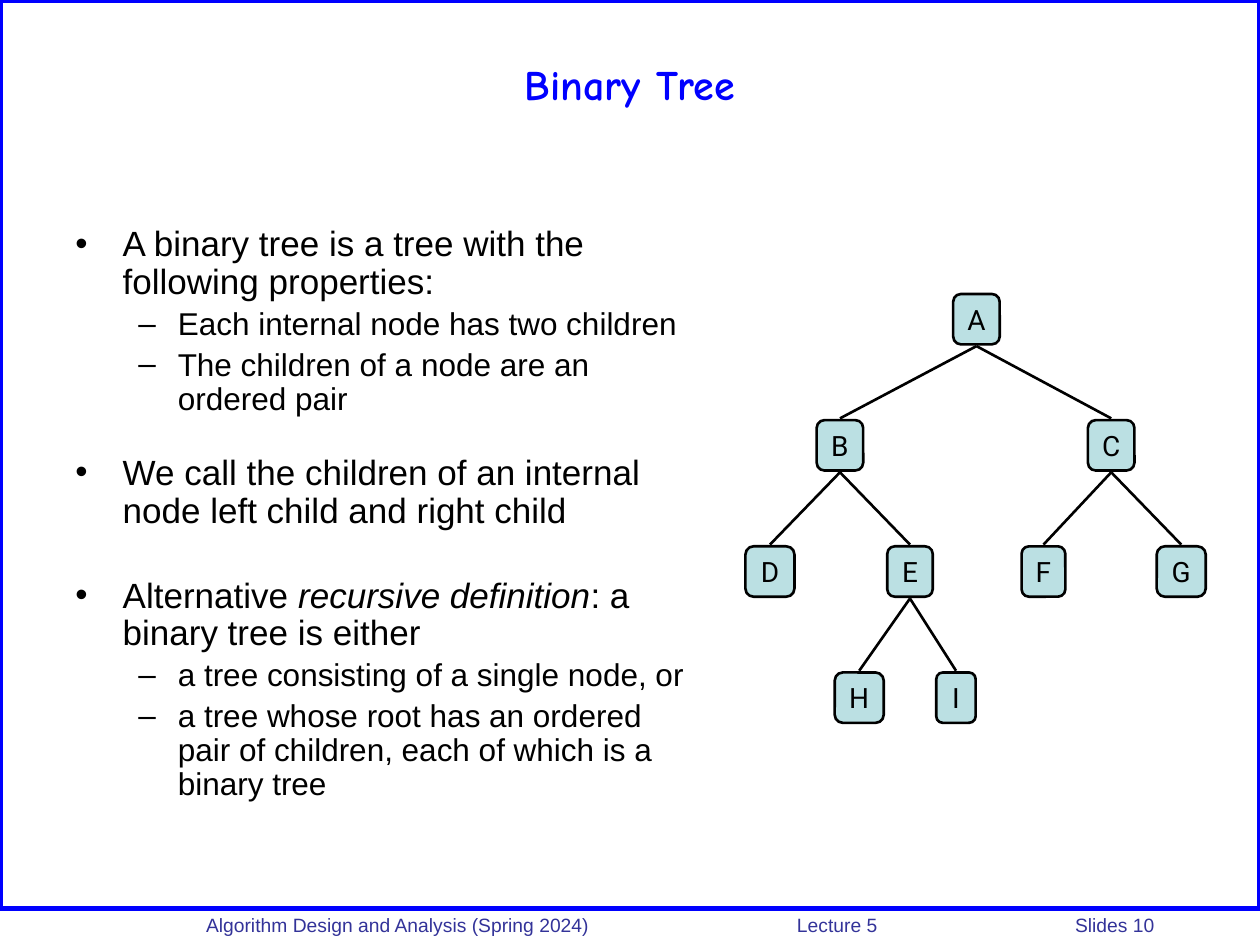
from lxml import etree
from pptx import Presentation
from pptx.dml.color import RGBColor
from pptx.enum import shapes, text
from pptx.oxml.ns import qn
from pptx.util import Pt


def color(hex_string):
    return RGBColor.from_string(hex_string)


def style(font, name, size, hex_string):
    font.name, font.size = name, Pt(size)
    font.color.rgb = color(hex_string)


deck = Presentation()
deck.slide_width, deck.slide_height = Pt(720), Pt(540)
slide = deck.slides.add_slide(deck.slide_layouts[6])

# Frame
frame = slide.shapes.add_shape(shapes.MSO_SHAPE.RECTANGLE, Pt(0), Pt(0), Pt(720), Pt(519))
frame.shadow.inherit = False
frame.fill.background()
frame.line.color.rgb = color("0000FF")
frame.line.width = Pt(3)

# Footer, with tab stops for the lecture and the slide number
footer = slide.shapes.add_textbox(Pt(96), Pt(518.4), Pt(624), Pt(18.7)).text_frame
footer.word_wrap = True
footer.margin_left = Pt(21.7)
footer_line = footer.paragraphs[0]
footer_line.text = "Algorithm Design and Analysis (Spring 2024)\tLecture 5\tSlides 10"
tabs = etree.SubElement(footer_line._p.get_or_add_pPr(), qn("a:tabLst"))
for stop in (337.7, 496.6):
    etree.SubElement(tabs, qn("a:tab"), pos=str(Pt(stop)), algn="l")
for run in footer_line.runs:
    style(run.font, "Arial", 11, "333399")

# Title
title = slide.shapes.add_textbox(Pt(36), Pt(12), Pt(648), Pt(72)).text_frame
title.word_wrap = True
title.vertical_anchor = text.MSO_ANCHOR.MIDDLE
title.text = "Binary Tree"
title.paragraphs[0].alignment = text.PP_ALIGN.CENTER
style(title.paragraphs[0].runs[0].font, "Comic Neue", 24, "0000FF")
title.paragraphs[0].runs[0].font.bold = True

# Definition: level, space before, text pieces (every second piece is italic)
points = [
    (0, 0, ["A binary tree is a tree with the following properties:"]),
    (1, 3.6, ["Each internal node has two children"]),
    (1, 3.6, ["The children of a node are an ordered pair"]),
    (0, 21.8, ["We call the children of an internal node left child and right child"]),
    (0, 26.9, ["Alternative ", "recursive definition", ": a binary tree is either"]),
    (1, 3.6, ["a tree consisting of a single node, or"]),
    (1, 3.6, ["a tree whose root has an ordered pair of children, each of which is a binary tree"]),
]
levels = [(27, -27, "•", 20), (58.5, -22.5, "–", 18)]  # margin, indent, bullet, size
definition = slide.shapes.add_textbox(Pt(36), Pt(126), Pt(372), Pt(342)).text_frame
definition.word_wrap = True
for number, (level, gap, pieces) in enumerate(points):
    point = definition.add_paragraph() if number else definition.paragraphs[0]
    margin, indent, bullet, size = levels[level]
    point.level = level
    point.line_spacing = 0.9
    point.space_before = Pt(gap)
    properties = point._p.get_or_add_pPr()
    properties.set("marL", str(Pt(margin)))
    properties.set("indent", str(Pt(indent)))
    etree.SubElement(properties, qn("a:buFont"), typeface="Arial")
    etree.SubElement(properties, qn("a:buChar"), char=bullet)
    for position, piece in enumerate(pieces):
        run = point.add_run()
        run.text = piece
        style(run.font, "Arial", size, "000000")
        run.font.italic = position % 2 == 1

# Tree: centre, depth and width of each node
nodes = {
    "A": (558, 0, 26.6),
    "B": (480, 1, 26.6), "C": (635, 1, 26.6),
    "D": (440, 2, 28), "E": (520, 2, 26), "F": (596.3, 2, 25), "G": (675, 2, 28),
    "H": (491, 3, 28), "I": (546.3, 3, 22.5),
}
children = {"A": "BC", "B": "DE", "C": "FG", "E": "HI"}
root_top, level_step, node_height = 168, 72.1, 28.8

# Edges
for parent, pair in children.items():
    parent_x, depth, _ = nodes[parent]
    parent_bottom = root_top + depth * level_step + node_height + 1
    for child in pair:
        child_x, child_depth, _ = nodes[child]
        child_top = root_top + child_depth * level_step - 1
        edge = slide.shapes.add_connector(
            shapes.MSO_CONNECTOR.STRAIGHT,
            Pt(parent_x), Pt(parent_bottom), Pt(child_x), Pt(child_top))
        edge.line.color.rgb = color("000000")
        edge.line.width = Pt(1.5)
        etree.SubElement(edge._element.spPr, qn("a:effectLst"))

# Nodes
for letter, (center, depth, width) in nodes.items():
    node = slide.shapes.add_shape(
        shapes.MSO_SHAPE.ROUNDED_RECTANGLE, Pt(center - width / 2),
        Pt(root_top + depth * level_step), Pt(width), Pt(node_height))
    node.shadow.inherit = False
    node.fill.solid()
    node.fill.fore_color.rgb = color("BBE0E3")
    node.line.color.rgb = color("000000")
    node.line.width = Pt(1.5)
    label = node.text_frame
    label.word_wrap = False
    label.vertical_anchor = text.MSO_ANCHOR.MIDDLE
    label.text = letter
    label.paragraphs[0].alignment = text.PP_ALIGN.CENTER
    style(label.paragraphs[0].runs[0].font, "Roboto", 16, "000000")

deck.save("out.pptx")
